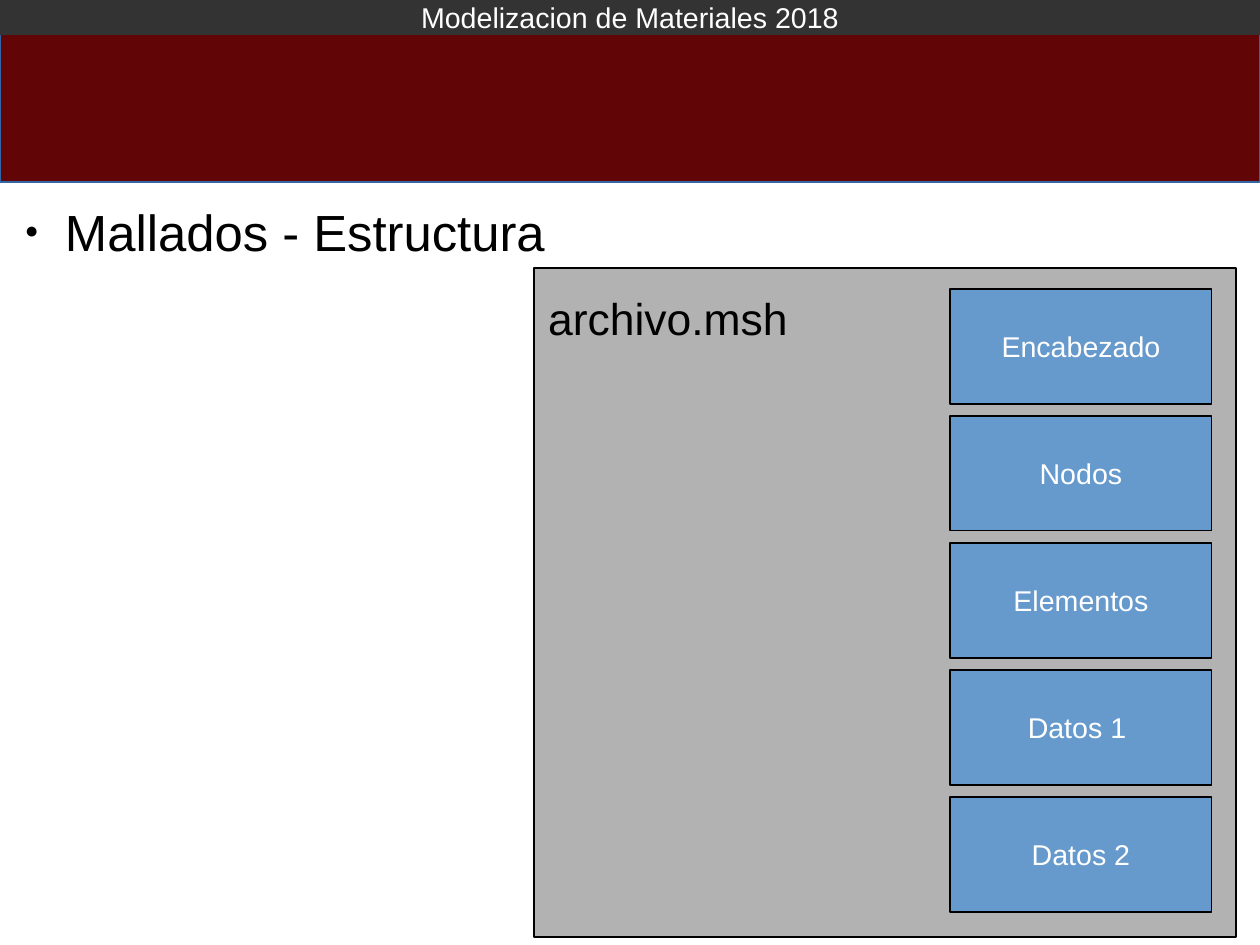
from lxml import etree
from pptx import Presentation
from pptx.dml.color import RGBColor
from pptx.enum.shapes import MSO_SHAPE
from pptx.enum.text import MSO_ANCHOR, MSO_AUTO_SIZE, PP_ALIGN
from pptx.oxml.ns import qn
from pptx.util import Pt

RECTANGLE = MSO_SHAPE.RECTANGLE
MIDDLE = MSO_ANCHOR.MIDDLE
NO_AUTOFIT = MSO_AUTO_SIZE.NONE
LEFT, CENTER = PP_ALIGN.LEFT, PP_ALIGN.CENTER

EMU_PER_PX = 8000
WIDTH, HEIGHT = 1260, 945
TITLE_ONLY = 5
FONT = "Arial"
COLORS = {
    "banner": "610506",
    "banner_line": "3465A4",
    "header": "333333",
    "file": "B2B2B2",
    "section": "6699CC",
    "black": "000000",
    "white": "FFFFFF",
}
SECTIONS = ["Encabezado", "Nodos", "Elementos", "Datos 1 ", "Datos 2"]
SECTION_TOP, SECTION_STEP = 289, 127


def px(*lengths):
    return [length * EMU_PER_PX for length in lengths]


def color(name):
    return RGBColor.from_string(COLORS[name])


def write(shape, text, size, color_name, alignment):
    text_frame = shape.text_frame
    text_frame.text = text
    paragraph = text_frame.paragraphs[0]
    paragraph.alignment = alignment
    font = paragraph.runs[0].font
    font.name = FONT
    font.size = Pt(size)
    font.color.rgb = color(color_name)


def add_box(slide, box, fill, line=None, text=None):
    shape = slide.shapes.add_shape(RECTANGLE, *px(*box))
    shape.shadow.inherit = False
    shape.fill.solid()
    shape.fill.fore_color.rgb = color(fill)
    if line:
        shape.line.color.rgb = color(line)
        shape.line.width = 0
    else:
        shape.line.fill.background()
    if text:
        write(shape, text, 18, "white", CENTER)
        shape.text_frame.vertical_anchor = MIDDLE
        shape.text_frame.word_wrap = False
    return shape


def clear_margins(text_frame):
    text_frame.margin_left = text_frame.margin_right = 0
    text_frame.margin_top = text_frame.margin_bottom = 0


def add_bullet(paragraph):
    properties = paragraph._p.get_or_add_pPr()
    margin, indent = px(54, -40)
    properties.set("marL", str(margin))
    properties.set("indent", str(indent))
    bullet_color = etree.SubElement(properties, qn("a:buClr"))
    etree.SubElement(bullet_color, qn("a:srgbClr"), val=COLORS["black"])
    etree.SubElement(properties, qn("a:buSzPct"), val="45000")
    etree.SubElement(properties, qn("a:buFont"), typeface=FONT)
    etree.SubElement(properties, qn("a:buChar"), char="●")


def place_title(slide, text, box):
    title = slide.shapes.title
    title.left, title.top, title.width, title.height = px(*box)
    write(title, text, 32, "black", LEFT)
    text_frame = title.text_frame
    text_frame.auto_size = NO_AUTOFIT
    text_frame.vertical_anchor = MIDDLE
    clear_margins(text_frame)
    add_bullet(text_frame.paragraphs[0])


def add_label(slide, text, box):
    label = slide.shapes.add_textbox(*px(*box))
    label.text_frame.word_wrap = True
    write(label, text, 28, "black", LEFT)


def main():
    presentation = Presentation()
    presentation.slide_width, presentation.slide_height = px(WIDTH, HEIGHT)
    slide = presentation.slides.add_slide(presentation.slide_layouts[TITLE_ONLY])

    add_box(slide, (0, 33, WIDTH, 149), "banner", "banner_line")
    header = add_box(slide, (0, 0, WIDTH, 35), "header",
                     text="Modelizacion de Materiales 2018")
    clear_margins(header.text_frame)
    place_title(slide, "Mallados - Estructura", (11, 198, 1134, 66))

    add_box(slide, (534, 268, 702, 669), "file", "black")
    for index, section in enumerate(SECTIONS):
        top = SECTION_TOP + index * SECTION_STEP
        add_box(slide, (950, top, 262, 115), "section", "black", section)
    add_label(slide, "archivo.msh", (537, 285, 294, 110))

    presentation.save("out.pptx")


if __name__ == "__main__":
    main()
